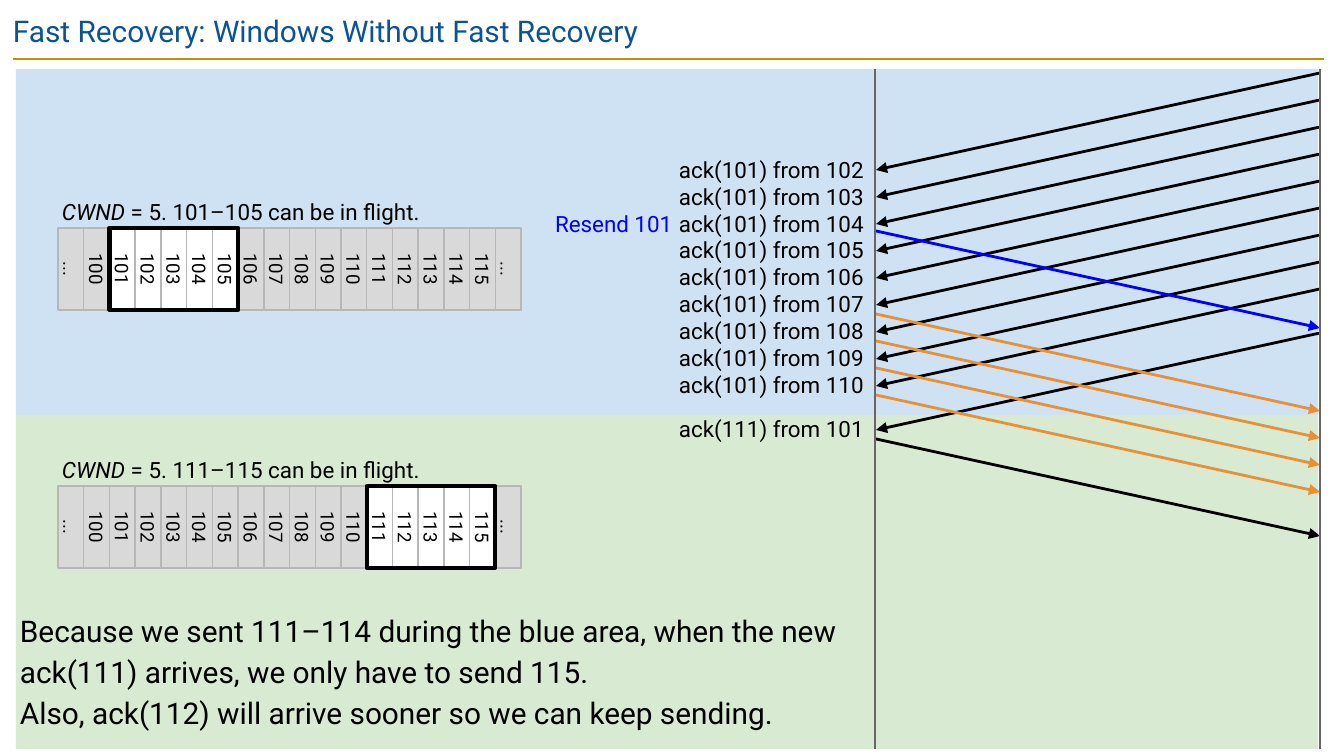
import pptx
import pptx.dml.color
import pptx.enum.shapes
import pptx.enum.text
import pptx.oxml.ns
import pptx.util
import lxml.etree

EMU_PER_PX = 914400 / 134.4
COLORS = {
    "title": "0B5394", "rule": "BF9000", "before": "CFE2F3", "after": "D9EAD3",
    "axis": "666666", "black": "000000", "resend": "0000FF", "extra": "E69138",
    "cell": "D9D9D9", "window": "FFFFFF", "border": "B7B7B7",
}
FONT = "Roboto"
PACKETS = ["...", *map(str, range(100, 116)), "..."]
WINDOW_SIZE = 5
ACK_STEP = 27
TRAVEL = 97


def px(length):
    return pptx.util.Emu(round(length * EMU_PER_PX))


def rgb(name):
    return pptx.dml.color.RGBColor.from_string(COLORS[name])


def set_attributes(target, values):
    for name, value in values.items():
        setattr(target, name, value)


def write_text(frame, paragraphs, size, color="black", inset=0, spacing=None,
               align=None, anchor=pptx.enum.text.MSO_ANCHOR.TOP):
    margins = {f"margin_{side}": px(inset) for side in ("left", "top", "right", "bottom")}
    set_attributes(frame, {"word_wrap": True, "vertical_anchor": anchor, **margins})
    for index, runs in enumerate(paragraphs):
        paragraph = frame.paragraphs[0] if index == 0 else frame.add_paragraph()
        set_attributes(paragraph, {"alignment": align, "line_spacing": spacing})
        for text, italic in runs:
            run = paragraph.add_run()
            run.text = text
            set_attributes(run.font, {"name": FONT, "size": pptx.util.Pt(size), "italic": italic})
            run.font.color.rgb = rgb(color)


def add_text(slide, box, paragraphs, size, **formats):
    shape = slide.shapes.add_textbox(*map(px, box))
    write_text(shape.text_frame, paragraphs, size, **formats)


def add_rectangle(slide, box, fill=None, line=None, weight=0.75, rotation=0):
    left, top, width, height = box
    if rotation:
        left, top = left + (width - height) / 2, top + (height - width) / 2
        width, height = height, width
    shape = slide.shapes.add_shape(
        pptx.enum.shapes.MSO_SHAPE.RECTANGLE, *map(px, (left, top, width, height)))
    shape.shadow.inherit = False
    shape.rotation = rotation
    if fill:
        shape.fill.solid()
        shape.fill.fore_color.rgb = rgb(fill)
    else:
        shape.fill.background()
    if line:
        shape.line.color.rgb = rgb(line)
        shape.line.width = pptx.util.Pt(weight)
    else:
        shape.line.fill.background()
    return shape


def add_line(slide, start, end, color, arrow=False):
    connector = slide.shapes.add_connector(
        pptx.enum.shapes.MSO_CONNECTOR.STRAIGHT, *map(px, (*start, *end)))
    connector.line.color.rgb = rgb(color)
    connector.line.width = pptx.util.Pt(1.5)
    qualify = pptx.oxml.ns.qn
    if arrow:
        lxml.etree.SubElement(connector.line._get_or_add_ln(), qualify("a:tailEnd"), type="triangle")
    lxml.etree.SubElement(connector._element.spPr, qualify("a:effectLst"))


def add_heading(slide, box):
    left, top, width, height = box
    add_line(slide, (left + 13, top + 59), (left + 1324, top + 59), "rule")
    add_text(slide, box, [[("Fast Recovery: Windows Without Fast Recovery", False)]],
             16, color="title", inset=13)


def add_bands(slide, box):
    left, top, width, height = box
    before_height = 346
    add_rectangle(slide, (left, top, width, before_height), "before")
    add_rectangle(slide, (left, top + before_height, width, height - before_height), "after")


def add_window(slide, box, first):
    left, top, width, height = box
    last = first + WINDOW_SIZE - 1
    edges = [left + width * index / len(PACKETS) for index in range(len(PACKETS) + 1)]
    for packet, start, end in zip(PACKETS, edges, edges[1:]):
        in_window = packet.isdigit() and first <= int(packet) <= last
        cell = add_rectangle(slide, (start, top, end - start, height),
                             "window" if in_window else "cell", "border", rotation=90)
        write_text(cell.text_frame, [[(packet, False)]], 10, inset=13,
                   align=pptx.enum.text.PP_ALIGN.CENTER,
                   anchor=pptx.enum.text.MSO_ANCHOR.MIDDLE)
    start = PACKETS.index(str(first))
    frame_width = edges[start + WINDOW_SIZE] - edges[start]
    add_rectangle(slide, (edges[start], top, frame_width, height),
                  line="black", weight=2.25, rotation=90)
    caption = [("CWND", True), (f" = {WINDOW_SIZE}. {first}–{last} can be in flight.", False)]
    add_text(slide, (left, top - 34, width, 35), [caption], 12, inset=4)


def add_exchange(slide, box):
    left, top, width, height = box
    right, bottom = left + width, top + height
    duplicate_tops = [top + 4 + ACK_STEP * index for index in range(9)]
    extra_tops = [top + 245 + ACK_STEP * index for index in range(4)]
    for start in (*duplicate_tops, top + 264):
        add_line(slide, (right, start), (left + 1, start + TRAVEL), "black", True)
    sent = [(top + 162, "resend"), *((start, "extra") for start in extra_tops), (top + 370, "black")]
    for start, color in sent:
        add_line(slide, (left + 1, start), (right, start + TRAVEL), color, True)
    for x in (left, right):
        add_line(slide, (x, top), (x, bottom), "axis")
    duplicates = [[(f"ack(101) from {packet}", False)] for packet in range(102, 111)]
    add_text(slide, (left - 196, top + 87, 187, 245), duplicates, 12)
    add_text(slide, (left - 196, top + 346, 187, 27), [[("ack(111) from 101", False)]], 12)
    add_text(slide, (left - 320, top + 141, 128, 27), [[("Resend 101", False)]], 12, color="resend")


def add_explanation(slide, box):
    sentences = [
        "Because we sent 111–114 during the blue area, when the new ack(111) arrives, "
        "we only have to send 115.",
        "Also, ack(112) will arrive sooner so we can keep sending.",
    ]
    add_text(slide, box, [[(sentence, False)] for sentence in sentences], 16, inset=4, spacing=1.15)


def main():
    presentation = pptx.Presentation()
    set_attributes(presentation, {"slide_width": px(1344), "slide_height": px(756)})
    slide = presentation.slides.add_slide(presentation.slide_layouts[6])
    add_heading(slide, (0, 0, 1253, 58))
    add_bands(slide, (16, 69, 1302, 680))
    add_window(slide, (58, 228, 463, 82), 101)
    add_window(slide, (58, 486, 463, 82), 111)
    add_exchange(slide, (875, 69, 445, 680))
    add_explanation(slide, (16, 603, 843, 133))
    presentation.save("out.pptx")


if __name__ == "__main__":
    main()
